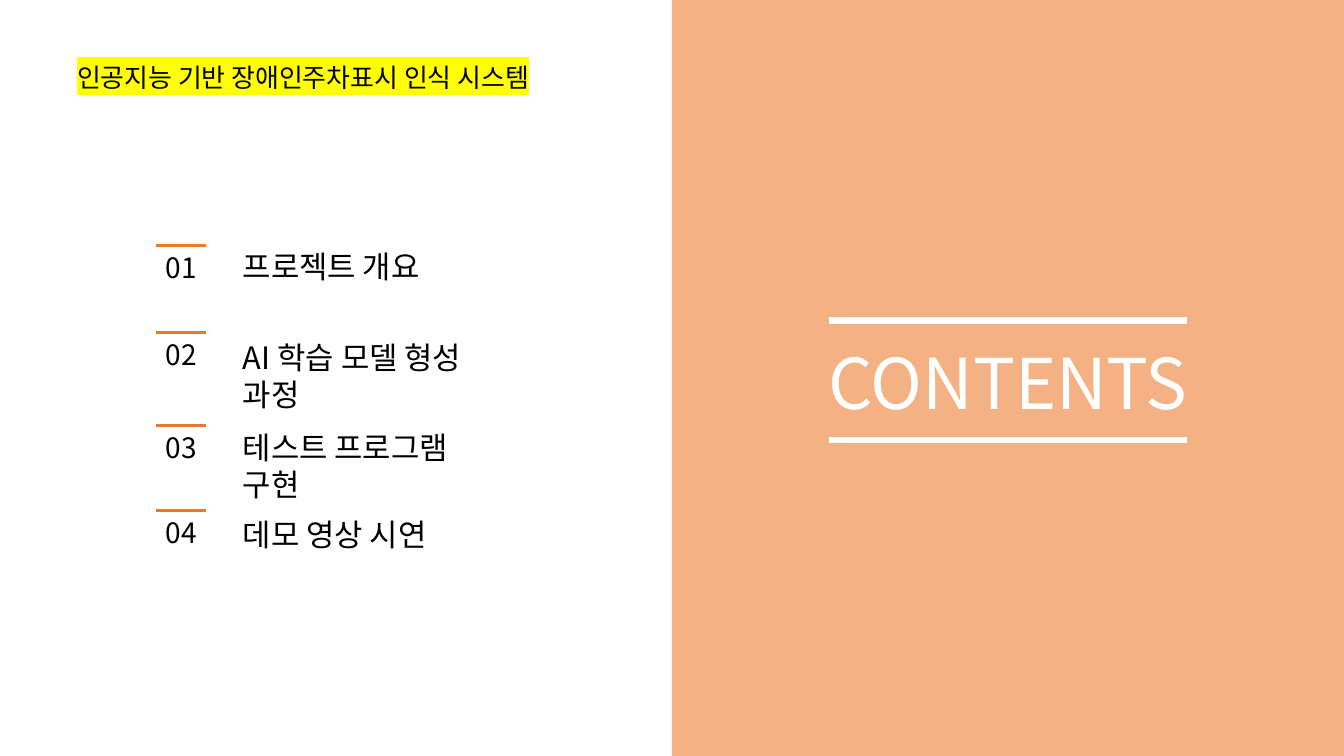
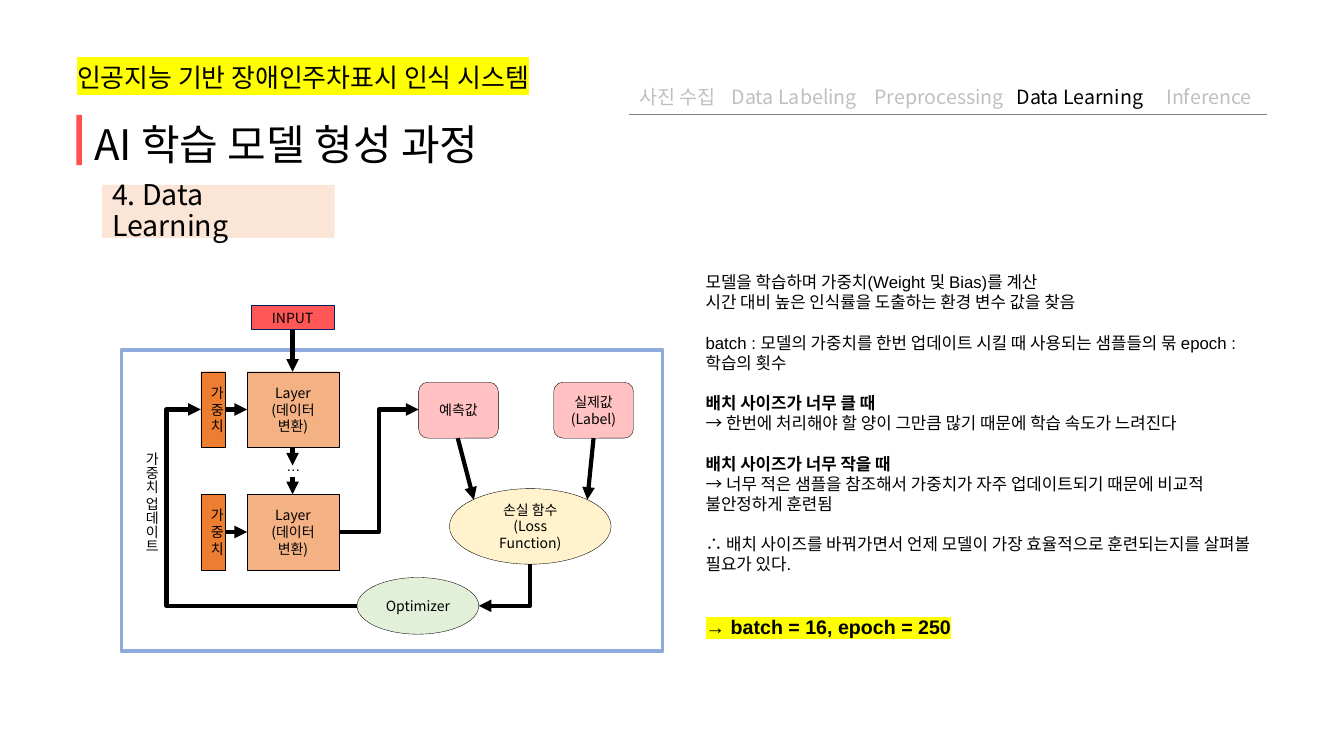
from lxml import etree
from pptx import Presentation
from pptx.dml.color import RGBColor
from pptx.enum.shapes import MSO_CONNECTOR, MSO_SHAPE
from pptx.enum.text import MSO_ANCHOR, MSO_AUTO_SIZE, PP_ALIGN
from pptx.oxml.ns import qn
from pptx.util import Pt

STRAIGHT, ELBOW = MSO_CONNECTOR.STRAIGHT, MSO_CONNECTOR.ELBOW
RECT, ROUND, OVAL = MSO_SHAPE.RECTANGLE, MSO_SHAPE.ROUNDED_RECTANGLE, MSO_SHAPE.OVAL
TOP, MIDDLE = MSO_ANCHOR.TOP, MSO_ANCHOR.MIDDLE
LEFT, CENTER = PP_ALIGN.LEFT, PP_ALIGN.CENTER

BLACK = RGBColor(0x00, 0x00, 0x00)
WHITE = RGBColor(0xFF, 0xFF, 0xFF)
GRAY = RGBColor(0x80, 0x80, 0x80)
PALE_GRAY = RGBColor(0xBF, 0xBF, 0xBF)
PEACH = RGBColor(0xF4, 0xB1, 0x83)
PALE_PEACH = RGBColor(0xFB, 0xE5, 0xD6)
ORANGE = RGBColor(0xED, 0x7D, 0x31)
RULE_ORANGE = RGBColor(0xEC, 0x79, 0x2B)
RED = RGBColor(0xFF, 0x50, 0x50)
INPUT_RED = RGBColor(0xFF, 0x57, 0x57)
PINK = RGBColor(0xFF, 0xC1, 0xC1)
CREAM = RGBColor(0xFF, 0xF2, 0xCC)
MINT = RGBColor(0xE2, 0xF0, 0xD9)
BLUE = RGBColor(0x8F, 0xAA, 0xDC)
NAVY = RGBColor(0x00, 0x20, 0x60)
YELLOW = RGBColor(0xFF, 0xFF, 0x00)

KOREAN, LATIN = "Noto Sans CJK KR", "Arial"
HEADER = "인공지능 기반 장애인주차표시 인식 시스템"
W, H = 960, 540


# Text and shape helpers
def add_text(p, text, size=10, font=KOREAN, color=BLACK, bold=False,
             highlight=None, align=LEFT, before=0, spacing=None):
    p.alignment = align
    if before:
        p.space_before = Pt(before)
    if spacing:
        p.line_spacing = spacing
    r = p.add_run()
    r.text = text
    r.font.size = Pt(size)
    r.font.bold = bold
    r.font.color.rgb = color
    rPr = r.font._element
    if highlight is not None:
        mark = etree.SubElement(rPr, qn("a:highlight"))
        etree.SubElement(mark, qn("a:srgbClr")).set("val", str(highlight))
    r.font.name = font
    etree.SubElement(rPr, qn("a:ea")).set("typeface", KOREAN)


def fill_frame(tf, lines, anchor=TOP, **fmt):
    tf.word_wrap = True
    tf.auto_size = MSO_AUTO_SIZE.NONE
    tf.vertical_anchor = anchor
    for i, line in enumerate(lines.split("\n")):
        p = tf.add_paragraph() if i else tf.paragraphs[0]
        add_text(p, line, **fmt)


def add_label(s, x, y, w, h, text, **fmt):
    sp = s.shapes.add_textbox(Pt(x), Pt(y), Pt(w), Pt(h))
    fill_frame(sp.text_frame, text, **fmt)
    return sp


def add_box(s, kind, x, y, w, h, fill=None, line=None, width=0.25, text="", **fmt):
    sp = s.shapes.add_shape(kind, Pt(x), Pt(y), Pt(w), Pt(h))
    sp.shadow.inherit = False
    if fill is None:
        sp.fill.background()
    else:
        sp.fill.solid()
        sp.fill.fore_color.rgb = fill
    if line is None:
        sp.line.fill.background()
    else:
        sp.line.color.rgb = line
        sp.line.width = Pt(width)
    if text:
        fill_frame(sp.text_frame, text, anchor=MIDDLE, **fmt)
    return sp


def add_line(s, x1, y1, x2, y2, color=BLACK, width=3.0, kind=STRAIGHT, arrow=False):
    c = s.shapes.add_connector(kind, Pt(x1), Pt(y1), Pt(x2), Pt(y2))
    c.line.color.rgb = color
    c.line.width = Pt(width)
    if arrow:
        etree.SubElement(c.line._get_or_add_ln(), qn("a:tailEnd")).set("type", "triangle")
    etree.SubElement(c._element.spPr, qn("a:effectLst"))
    return c


def add_arrow(s, *ends, **fmt):
    return add_line(s, *ends, arrow=True, **fmt)


def add_corner_arrow(s, x1, y1, x2, y2):
    """Arrow that runs down from its start, then left to its end."""
    cx, cy = (x1 + x2) / 2, (y1 + y2) / 2
    half_w, half_h = (y2 - y1) / 2, (x1 - x2) / 2
    c = add_arrow(s, cx - half_w, cy - half_h, cx + half_w, cy + half_h, kind=ELBOW)
    spPr = c._element.spPr
    spPr.find(qn("a:xfrm")).set("rot", "5400000")
    spPr.find(qn("a:prstGeom")).set("prst", "bentConnector2")


def set_bend(c, ratio):
    geom = c._element.spPr.find(qn("a:prstGeom"))
    guides = geom.find(qn("a:avLst"))
    if guides is None:
        guides = etree.SubElement(geom, qn("a:avLst"))
    gd = etree.SubElement(guides, qn("a:gd"))
    gd.set("name", "adj1")
    gd.set("fmla", f"val {round(ratio * 100000)}")


# Parts shared by the slides
def new_slide(prs, title, x, y, w, h, **fmt):
    s = prs.slides.add_slide(prs.slide_layouts[5])
    sp = s.shapes.title
    sp.left, sp.top, sp.width, sp.height = Pt(x), Pt(y), Pt(w), Pt(h)
    fill_frame(sp.text_frame, title, **fmt)
    add_label(s, 48, 37.5, 389, 38, HEADER, anchor=MIDDLE, size=18.5,
              highlight=YELLOW, spacing=0.9)
    return s


# Contents slide
def contents_list(s, x, rows):
    for i, (y, text_shift, text) in enumerate(rows, 1):
        add_label(s, x, y, 42, 32, f"{i:02}", size=20)
        add_line(s, x, y, x + 35.5, y, color=RULE_ORANGE, width=2.25)
        add_label(s, x + 55, y + text_shift, 200, 34, text, size=22)


def contents_slide(prs):
    s = new_slide(prs, "CONTENTS", W / 2, 239, W / 2, 68, size=50, color=WHITE,
                  align=CENTER)
    panel = add_box(s, RECT, W / 2, 0, W / 2, H, PEACH)
    s.shapes._spTree.insert(2, panel._element)  # behind the title
    for y in (229, 314.5):
        add_line(s, 592.5, y, 848, y, color=WHITE, width=4.5)
    contents_list(s, 111.5, [
        (175.5, -2, "프로젝트 개요"),
        (237.5, 1, "AI 학습 모델 형성 과정"),
        (304, -1.5, "테스트 프로그램 구현"),
        (364.5, 0, "데모 영상 시연"),
    ])


# Learning slide
def step_bar(s, x, y, w, current):
    add_line(s, x, y + 25, x + w, y + 25, color=GRAY, width=0.75)
    steps = [("사진 수집", 0, 92), ("Data Labeling", 66, 107),
             ("Preprocessing", 168, 107), ("Data Learning", 269.5, 107),
             ("Inference", 376.5, 79)]
    for text, dx, width in steps:
        color = BLACK if text == current else PALE_GRAY
        add_label(s, x + dx, y, width, 24.5, text, size=14, color=color)


def learning_diagram(s, x, y, w, h):
    def node(kind, dx, dy, nw, nh, fill, text, line=BLACK):
        add_box(s, kind, x + dx, y + dy, nw, nh, fill, line, text=text, align=CENTER)

    def arrow(x1, y1, x2, y2, draw=add_arrow, **fmt):
        return draw(s, x + x1, y + y1, x + x2, y + y2, **fmt)

    add_box(s, RECT, x, y, w, h, line=BLUE, width=2.25)

    # Weights feeding the layers
    top, bottom, layer_h, mid = 15.5, 103, 54, 122.5
    row1, row2 = top + layer_h / 2, bottom + layer_h / 2
    for dy in (top, bottom):
        node(RECT, 57, dy, 17.5, layer_h, ORANGE, "가중치")
        node(RECT, 90, dy, 65.5, layer_h, PEACH, "Layer\n(데이터 변환)")
        arrow(74.5, dy + layer_h / 2, 90, dy + layer_h / 2)

    # Input, values, loss and optimizer
    node(RECT, 93, -32, 59, 17.5, INPUT_RED, "INPUT", line=NAVY)
    node(ROUND, 212.5, 23, 57, 40, PINK, "예측값")
    node(ROUND, 309, 23, 57, 40, PINK, "실제값\n(Label)")
    node(OVAL, 234.5, 99, 115.5, layer_h, CREAM, "손실 함수\n(Loss Function)")
    node(OVAL, 168.5, 162.5, 87, 40.5, MINT, "Optimizer")

    # Flow
    arrow(mid, -14.5, mid, top)
    arrow(mid, top + layer_h, mid, 82.5)
    arrow(mid, 90.5, mid, bottom)
    add_label(s, x + 111, y + 73.5, 31.5, 19.5, "…", font=LATIN)
    arrow(155.5, row2, 212.5, row1, kind=ELBOW)
    arrow(240.5, 63, 252, 107)
    arrow(337.5, 63, 333, 107)
    arrow(292, 153, 255.5, 182.75, draw=add_corner_arrow)
    set_bend(arrow(168.5, 182.75, 57, row1, kind=ELBOW), 1.22)
    update = add_label(s, x + 5.5, y + 66, 26, 99, "가중치 업데이트")
    update.text_frame._txBody.bodyPr.set("vert", "eaVert")


def explanation(s, x, y, w, h):
    gap = dict(before=14.4)
    paras = [
        ("모델을 학습하며 가중치(Weight 및 Bias)를 계산", {}),
        ("시간 대비 높은 인식률을 도출하는 환경 변수 값을 찾음", {}),
        ("batch : 모델의 가중치를 한번 업데이트 시킬 때 사용되는 샘플들의 묶"
         " epoch : 학습의 횟수", gap),
        ("배치 사이즈가 너무 클 때", dict(gap, bold=True)),
        ("→ 한번에 처리해야 할 양이 그만큼 많기 때문에 학습 속도가 느려진다", {}),
        ("배치 사이즈가 너무 작을 때", dict(gap, bold=True)),
        ("→ 너무 적은 샘플을 참조해서 가중치가 자주 업데이트되기 때문에 비교적"
         " 불안정하게 훈련됨", {}),
        ("∴ 배치 사이즈를 바꿔가면서 언제 모델이 가장 효율적으로 훈련되는지를"
         " 살펴볼 필요가 있다.", gap),
        ("→ batch = 16, epoch = 250",
         dict(before=29, size=14, bold=True, highlight=YELLOW)),
    ]
    tf = s.shapes.add_textbox(Pt(x), Pt(y), Pt(w), Pt(h)).text_frame
    tf.word_wrap = True
    tf.margin_left = Pt(18)
    tf.margin_top = tf.margin_right = tf.margin_bottom = Pt(7.2)
    for i, (text, fmt) in enumerate(paras):
        p = tf.add_paragraph() if i else tf.paragraphs[0]
        add_text(p, text, **{"size": 12, "font": LATIN, **fmt})


def learning_slide(prs):
    s = new_slide(prs, "AI 학습 모델 형성 과정", 60, 84, 882, 38, size=30,
                  anchor=MIDDLE)
    add_box(s, RECT, 54.5, 82, 4, 36, RED)
    step_bar(s, 449.5, 57, 455.5, "Data Learning")
    add_box(s, RECT, 73, 132, 166, 38, PALE_PEACH, text="4. Data Learning",
            size=20.4, spacing=0.9)
    learning_diagram(s, 86.5, 250, 387, 215)
    explanation(s, 486, 187, 425.5, 280)


def main():
    prs = Presentation()
    prs.slide_width, prs.slide_height = Pt(W), Pt(H)
    contents_slide(prs)
    learning_slide(prs)
    prs.save("out.pptx")


if __name__ == "__main__":
    main()
